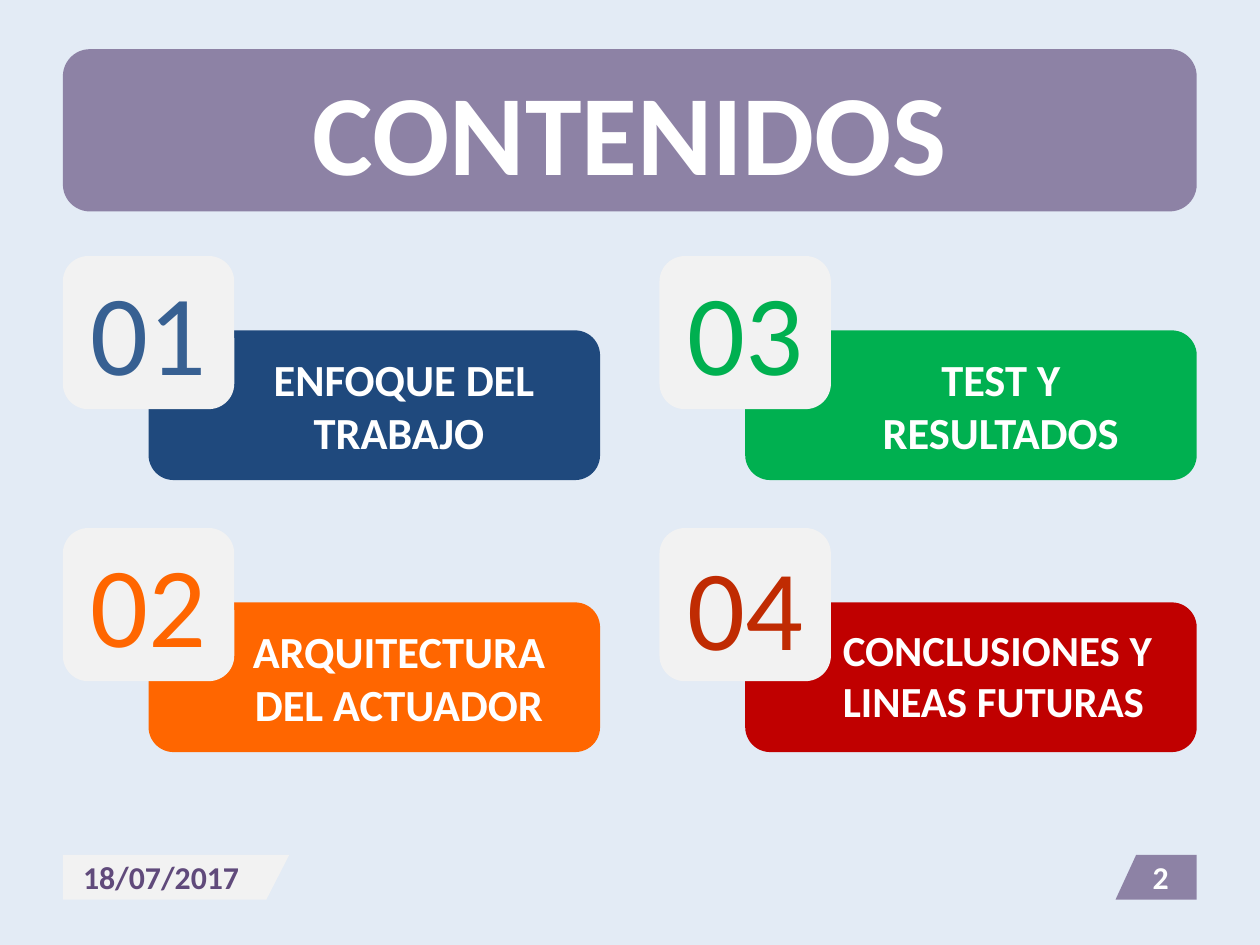
from lxml.etree import SubElement
from pptx import Presentation
from pptx.dml.color import RGBColor
from pptx.enum.shapes import MSO_SHAPE as Shape
from pptx.enum.text import MSO_ANCHOR as Anchor, MSO_AUTO_SIZE as Auto, PP_ALIGN as Align
from pptx.oxml.ns import qn
from pptx.util import Cm, Inches, Pt

WIDE, HIGH = Cm(28), Cm(21)
EDGE, SPAN = 0.55, 9.92      # left margin and width between the margins
COL, ROW = 5.22, 2.38        # steps of the grid of topics
TOP = 2.24                   # top of the first row
FOOT, BAND = 7.48, 0.39      # top and height of the footer
WHITE, PALE, PLUM = "FFFFFF", "F2F2F2", "604A7B"

# Number colour, its lift, card colour, text, size, alignment, right inset, lift
TOPICS = [
    ("376092", 0.05, "1F497D", " ENFOQUE DEL TRABAJO", 28, Align.CENTER, 0.36, 0),
    ("FF6600", 0.05, "FF6600", "ARQUITECTURA DEL ACTUADOR", 28, Align.CENTER, 0.36, 0),
    ("00B050", 0.05, "00B050", "TEST Y RESULTADOS", 28, Align.CENTER, 0.27, 0),
    ("C02B02", 0, "C00000", "CONCLUSIONES Y LINEAS FUTURAS", 27, Align.LEFT, 0.27, 0.04),
]


def paint(fill, color, alpha=100):
    fill.solid()
    fill.fore_color.rgb = RGBColor.from_string(color)
    if alpha < 100:
        for tone in fill._xPr.iter(qn("a:srgbClr")):
            SubElement(tone, qn("a:alpha")).set("val", str(alpha * 1000))


def finish(shape, color, alpha=100):
    shape.shadow.inherit = False
    shape.line.fill.background()
    paint(shape.fill, color, alpha)
    return shape


def write(shape, text, size, color, bold=True, align=Align.CENTER,
          left=0, right=0, lift=0):
    frame = shape.text_frame
    frame.word_wrap = True
    frame.auto_size = Auto.NONE
    frame.vertical_anchor = Anchor.MIDDLE
    frame.margin_left, frame.margin_right = Inches(left), Inches(right)
    frame.margin_top, frame.margin_bottom = 0, Inches(lift)
    para = frame.paragraphs[0]
    para.alignment = align
    run = para.add_run()
    run.text = text
    font = run.font
    font.name, font.size, font.bold = "Calibri", Pt(size), bold
    font.color.rgb = RGBColor.from_string(color)


def add_box(slide, box, color, alpha=100):
    shape = slide.shapes.add_shape(Shape.ROUNDED_RECTANGLE, *map(Inches, box))
    return finish(shape, color, alpha)


def add_title(slide, text):
    add_box(slide, (EDGE, 0.43, SPAN, 1.42), PLUM, 65)
    title = slide.shapes.title
    title.left, title.top, title.width, title.height = map(
        Inches, (EDGE, 0.48, SPAN, 1.31))
    write(title, text, 72, WHITE)
    slide.shapes._spTree.append(title._element)  # bring to the front


def add_topic(slide, index, topic):
    tint, rise, color, text, size, align, right, lift = topic
    col, row = divmod(index, 2)
    left, top = EDGE + col * COL, TOP + row * ROW
    card = add_box(slide, (left + 0.75, top + 0.65, 3.95, 1.31), color)
    write(card, text, size, WHITE, align=align, left=0.79, right=right, lift=lift)
    badge = add_box(slide, (left, top, 1.5, 1.34), PALE)
    write(badge, f"{index + 1:02}", 72, tint, bold=False, lift=rise)


def add_tab(slide, xs, fill, alpha, box, text, color):
    """Slanted footer tab; xs runs clockwise from the top left corner."""
    ys = (FOOT, FOOT, FOOT + BAND, FOOT + BAND)
    points = [(Inches(x), Inches(y)) for x, y in zip(xs, ys)]
    path = slide.shapes.build_freeform(*points[0])
    path.add_line_segments(points[1:], close=True)
    finish(path.convert_to_shape(), fill, alpha)
    left, width = box
    label = slide.shapes.add_textbox(*map(Inches, (left, FOOT, width, BAND)))
    write(label, text, 20, color)


def main():
    deck = Presentation()
    deck.slide_width, deck.slide_height = WIDE, HIGH
    slide = deck.slides.add_slide(deck.slide_layouts[5])
    paint(slide.background.fill, "E3EBF5")

    # Heading
    add_title(slide, "CONTENIDOS")

    # Numbered topics, column by column
    for index, topic in enumerate(TOPICS):
        add_topic(slide, index, topic)

    # Footer: date and page number
    end = EDGE + SPAN
    add_tab(slide, (EDGE, 2.53, 2.33, EDGE), PALE, 100,
            (EDGE, 1.72), "18/07/2017", PLUM)
    add_tab(slide, (9.94, end, end, 9.76), PLUM, 65,
            (9.84, 0.63), "2", WHITE)

    deck.save("out.pptx")


if __name__ == "__main__":
    main()
